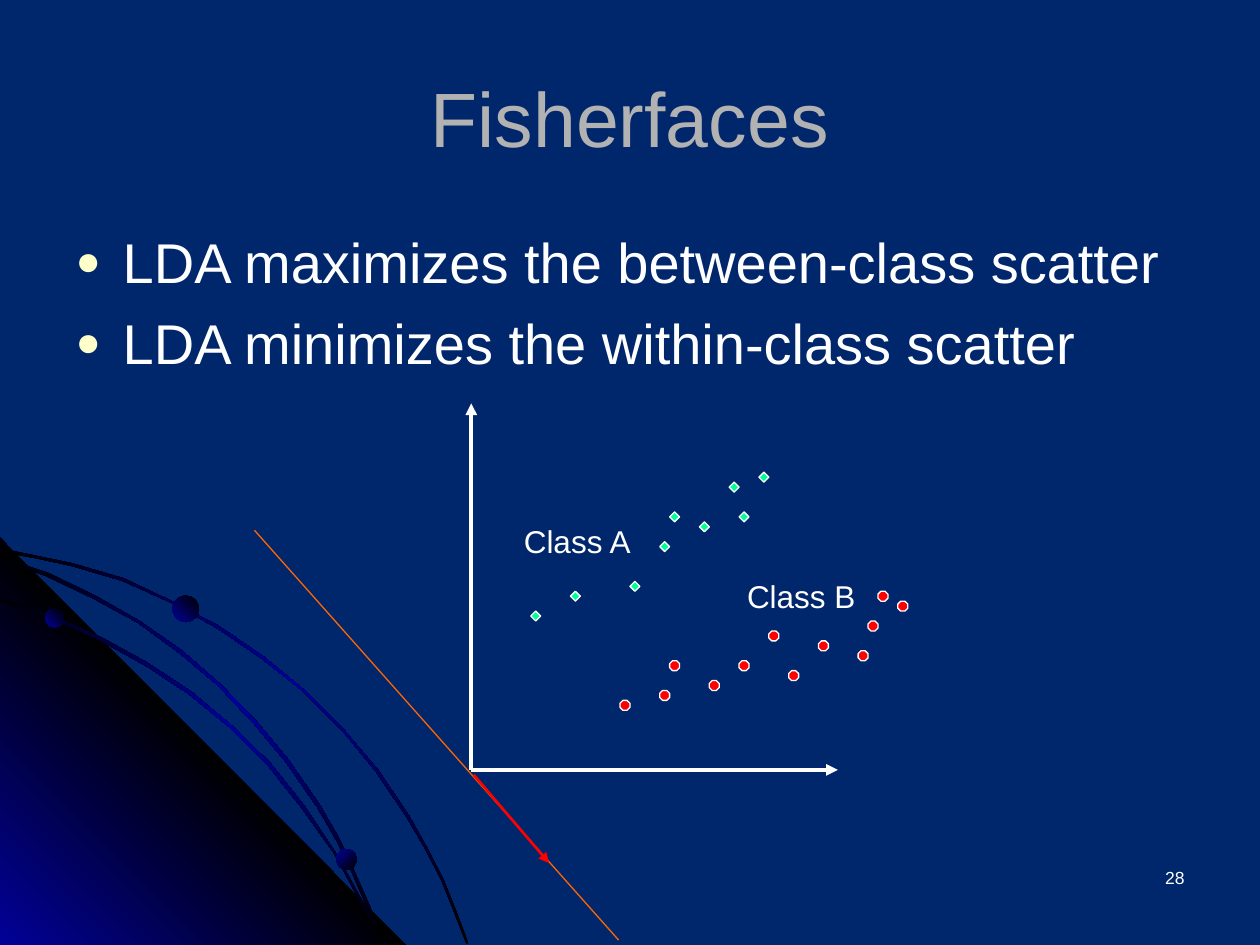
"""Build the Fisherfaces slide: two LDA bullets above a two-class scatter sketch."""
from lxml.etree import SubElement
from pptx import Presentation
from pptx.dml.color import RGBColor
from pptx.enum.shapes import MSO_CONNECTOR, MSO_SHAPE
from pptx.enum.text import MSO_ANCHOR, MSO_AUTO_SIZE, PP_ALIGN
from pptx.oxml.ns import qn
from pptx.util import Cm, Pt

COLORS = {
    "bg": "00266B", "title": "B2B2B2", "white": "FFFFFF", "bullet": "FFFFCC",
    "class_a": "00FF99", "class_b": "FF0000", "axis_lda": "FF6600",
    "blue": "010199", "black": "000000",
}
FONT = "Arial"
TITLE = "Fisherfaces"
BULLETS = ["LDA maximizes the between-class scatter",
           "LDA minimizes the within-class scatter"]

ARC_UNIT = Cm(0.0254)
ARC_STOPS = ["black", "blue", "black"]
CORNER_STOPS = ["blue", "black", "blue"]
ART = [
    (ARC_STOPS, 45, [
        (57, 447), (28, 441), (0, 435), (0, 438), (28, 443), (56, 449), (97, 461),
        (135, 478), (173, 499), (208, 523), (241, 549), (271, 579), (298, 612),
        (323, 649), (337, 673), (350, 698), (360, 723), (370, 749), (372, 749),
        (362, 723), (352, 698), (339, 673), (325, 648), (300, 611), (272, 578),
        (242, 548), (209, 521), (174, 497), (136, 477), (98, 459)]),
    (CORNER_STOPS, 315, [(322, 750), (0, 750), (0, 427)]),
    (ARC_STOPS, 45, [
        (285, 714), (294, 732), (301, 749), (303, 749), (296, 730), (286, 712),
        (266, 676), (242, 640), (215, 606), (184, 576), (152, 549), (117, 526),
        (79, 505), (41, 488), (0, 475), (0, 477), (39, 490), (77, 507), (115, 528),
        (150, 551), (183, 578), (213, 608), (240, 642), (265, 677)]),
    (ARC_STOPS, 45, [
        (0, 442), (0, 444), (36, 457), (74, 475), (109, 494), (142, 518), (173, 544),
        (202, 575), (227, 605), (252, 641), (267, 667), (280, 694), (292, 722),
        (301, 749), (303, 749), (294, 720), (282, 693), (269, 665), (254, 639),
        (229, 603), (204, 573), (175, 543), (144, 516), (111, 493), (76, 473),
        (39, 455)]),
]
BEADS = [(0.91, 12.27, 0.38, 315), (6.78, 17.12, 0.41, 45), (3.48, 12.01, 0.53, 315)]

ORIGIN = (9.5, 15.52)
STEP = 0.2
CLASSES = [
    (MSO_SHAPE.DIAMOND, "class_a",
     [(6, 16), (20, 26), (27, 26), (26, 29), (16, 19), (10, 18), (19, 23), (29, 30),
      (23, 25)]),
    (MSO_SHAPE.OCTAGON, "class_b",
     [(19, 8), (20, 11), (30, 14), (24, 9), (27, 11), (40, 15), (39, 12), (43, 17),
      (35, 13), (32, 10), (41, 18), (15, 7)]),
]
LINES = [
    (ORIGIN, (9.5, 8.13), "white", 2.25, True),
    (ORIGIN, (16.89, 15.52), "white", 2.25, True),
    ((5.13, 10.69), (12.47, 18.95), "axis_lda", 0.75, False),
    ((9.55, 15.62), (11.07, 17.4), "class_b", 1.5, True),
]
LABELS = [
    ("28", (18.21, 17.35, 5.92, 1.27), 10, PP_ALIGN.RIGHT, True),
    ("Class A", (10.31, 10.39, 2.69, 1.02), 18, PP_ALIGN.LEFT, False),
    ("Class B", (14.81, 11.51, 2.69, 1.02), 18, PP_ALIGN.LEFT, False),
]


def rgb(name):
    return RGBColor.from_string(COLORS[name])


def style(p, size, color):
    for r in p.runs:
        r.font.name, r.font.size = FONT, Pt(size)
        r.font.color.rgb = rgb(color)


def place(sp, box):
    sp.left, sp.top, sp.width, sp.height = (Cm(v) for v in box)


def paint_gradient(sp, stops, angle):
    sp.shadow.inherit = False
    sp.line.fill.background()
    sp.fill.gradient()
    sp.fill.gradient_angle = 360 - angle
    gs_list = sp._element.spPr.find(".//" + qn("a:gsLst"))
    for gs in list(gs_list):
        gs_list.remove(gs)
    for i, name in enumerate(stops):
        gs = SubElement(gs_list, qn("a:gs"), pos=str(100000 * i // (len(stops) - 1)))
        SubElement(gs, qn("a:srgbClr"), val=COLORS[name])


def add_bullet(p):
    pPr = p._p.get_or_add_pPr()
    pPr.set("marL", str(Cm(0.95)))
    pPr.set("indent", str(-Cm(0.95)))
    clr = SubElement(pPr, qn("a:buClr"))
    SubElement(clr, qn("a:srgbClr"), val=COLORS["bullet"])
    SubElement(pPr, qn("a:buSzPct"), val="75000")
    SubElement(pPr, qn("a:buFont"), typeface=FONT)
    SubElement(pPr, qn("a:buChar"), char="●")


def add_art(s):
    for stops, angle, pts in ART:
        fb = s.shapes.build_freeform(*pts[0], scale=ARC_UNIT)
        fb.add_line_segments(pts[1:], close=True)
        paint_gradient(fb.convert_to_shape(), stops, angle)
    for x, y, d, angle in BEADS:
        sp = s.shapes.add_shape(MSO_SHAPE.OVAL, Cm(x), Cm(y), Cm(d), Cm(d))
        paint_gradient(sp, ["blue", "black"], angle)


def add_text(s):
    title, body = s.shapes.title, s.placeholders[1]
    place(title, (1.27, 0.76, 22.86, 3.18))
    title.text_frame.text = TITLE
    title.text_frame.vertical_anchor = MSO_ANCHOR.MIDDLE
    p = title.text_frame.paragraphs[0]
    p.alignment = PP_ALIGN.CENTER
    style(p, 44, "title")

    place(body, (1.27, 4.45, 22.86, 12.57))
    tf = body.text_frame
    tf.text = "\n".join(BULLETS)
    tf.auto_size = MSO_AUTO_SIZE.NONE
    for i, p in enumerate(tf.paragraphs):
        add_bullet(p)
        p.space_before = Pt(8 if i else 0)
        style(p, 32, "white")

    for text, box, size, align, wrap in LABELS:
        tf = s.shapes.add_textbox(*(Cm(v) for v in box)).text_frame
        tf.text, tf.word_wrap = text, wrap
        tf.paragraphs[0].alignment = align
        style(tf.paragraphs[0], size, "white")


def add_plot(s):
    for start, end, color, width, arrow in LINES:
        cx = s.shapes.add_connector(
            MSO_CONNECTOR.STRAIGHT, *(Cm(v) for v in start + end))
        cx.line.color.rgb, cx.line.width = rgb(color), Pt(width)
        if arrow:
            SubElement(cx.line._get_or_add_ln(), qn("a:tailEnd"), type="triangle")
        SubElement(cx._element.spPr, qn("a:effectLst"))
    for shape, color, pts in CLASSES:
        for col, row in pts:
            sp = s.shapes.add_shape(
                shape, Cm(ORIGIN[0] + STEP * col), Cm(ORIGIN[1] - STEP * row),
                Cm(STEP), Cm(STEP))
            sp.shadow.inherit = False
            sp.fill.solid()
            sp.fill.fore_color.rgb = rgb(color)
            sp.line.color.rgb, sp.line.width = rgb("white"), Pt(0.75)


def main():
    prs = Presentation()
    prs.slide_width, prs.slide_height = Cm(25.4), Cm(19.05)
    s = prs.slides.add_slide(prs.slide_layouts[1])
    s.background.fill.solid()
    s.background.fill.fore_color.rgb = rgb("bg")
    add_art(s)
    add_text(s)
    add_plot(s)
    prs.save("out.pptx")


if __name__ == "__main__":
    main()
